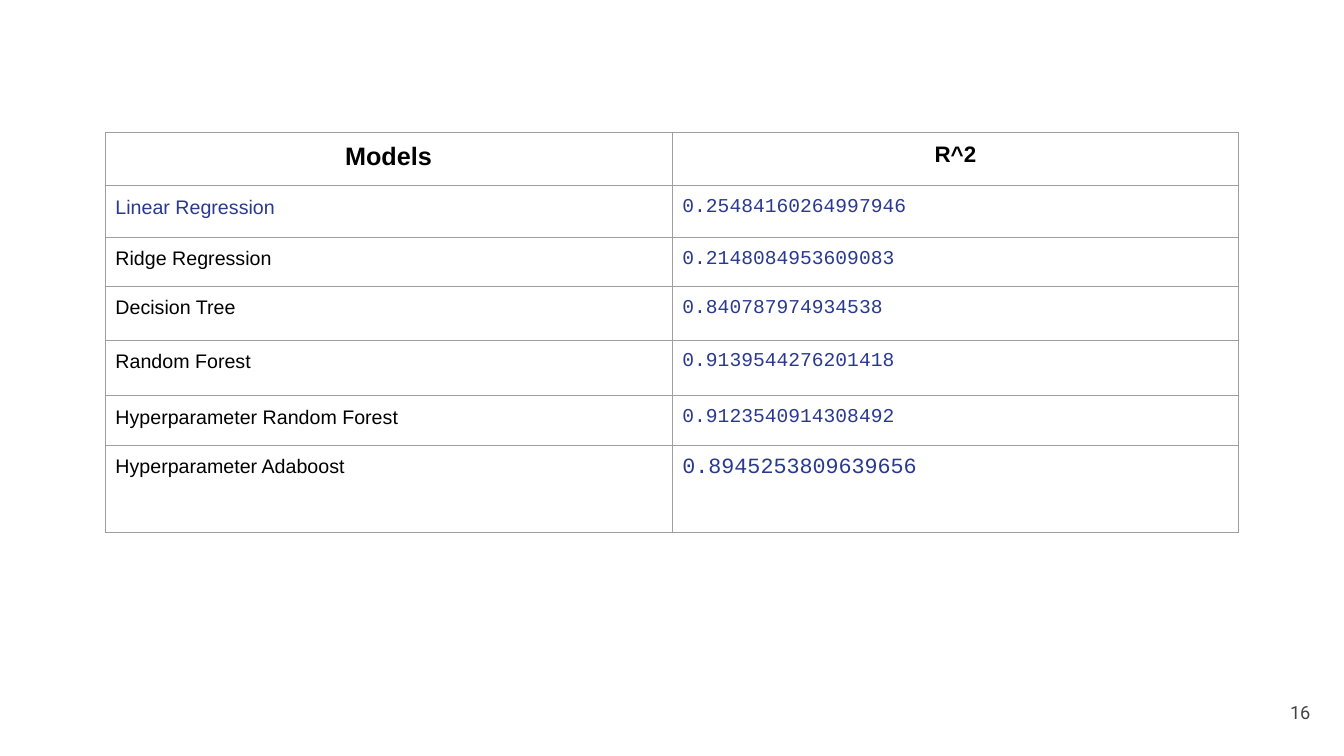
from dataclasses import dataclass

from lxml.etree import SubElement
from pptx import Presentation
from pptx.dml.color import RGBColor
from pptx.enum.text import MSO_ANCHOR, PP_ALIGN
from pptx.oxml.ns import qn
from pptx.util import Pt

PX = 9525
INK, BLUE, GRAY, RULE = "000000", "2A3990", "434343", "9E9E9E"
SANS, MONO = "Arial", "Courier New"


@dataclass
class Label:
    text: str
    size: float = 14
    font: str = SANS
    color: str = INK
    bold: bool = False
    align: PP_ALIGN = PP_ALIGN.LEFT


@dataclass
class Row:
    high: int
    model: Label
    score: Label


def head(text: str, size: float) -> Label:
    return Label(text, size, bold=True, align=PP_ALIGN.CENTER)


def score(text: str, size: float = 14) -> Label:
    return Label(text, size, MONO, BLUE)


ROWS = [
    Row(51, head("Models", 18), head("R^2", 16)),
    Row(49, Label("Linear Regression", color=BLUE), score("0.25484160264997946")),
    Row(47, Label("Ridge Regression"), score("0.2148084953609083")),
    Row(51, Label("Decision Tree"), score("0.840787974934538")),
    Row(53, Label("Random Forest"), score("0.9139544276201418")),
    Row(47, Label("Hyperparameter Random Forest"), score("0.9123540914308492")),
    Row(83, Label("Hyperparameter Adaboost"), score("0.8945253809639656", 15.5)),
]


def px(count: int) -> int:
    return count * PX


def tint(color: str) -> RGBColor:
    return RGBColor.from_string(color)


def write(frame, label: Label) -> None:
    para = frame.paragraphs[0]
    para.alignment = label.align
    run = para.add_run()
    run.text = label.text
    run.font.size = Pt(label.size)
    run.font.name = label.font
    run.font.bold = label.bold
    run.font.color.rgb = tint(label.color)


def inset(box, gap: int) -> None:
    box.margin_left = box.margin_right = px(gap)
    box.margin_top = box.margin_bottom = px(gap)


def border(cell) -> None:
    props = cell._tc.get_or_add_tcPr()
    for side in ("a:lnL", "a:lnR", "a:lnT", "a:lnB"):
        line = SubElement(props, qn(side), w=str(Pt(0.75)))
        fill = SubElement(line, qn("a:solidFill"))
        SubElement(fill, qn("a:srgbClr"), val=RULE)


def grid(slide, rows: list[Row]) -> None:
    high = sum(row.high for row in rows)
    frame = slide.shapes.add_table(
        len(rows), 2, px(100), px(126), px(1080), px(high)
    )
    table = frame.table
    table.first_row = table.horz_banding = False
    for col in table.columns:
        col.width = px(540)
    for line, row in zip(table.rows, rows):
        line.height = px(row.high)
        for cell, label in zip(line.cells, (row.model, row.score)):
            inset(cell, 10)
            border(cell)
            cell.fill.background()
            write(cell.text_frame, label)


def number(slide, text: str) -> None:
    box = slide.shapes.add_textbox(px(1184), px(651), px(77), px(55))
    frame = box.text_frame
    frame.word_wrap = True
    frame.vertical_anchor = MSO_ANCHOR.MIDDLE
    inset(frame, 13)
    write(frame, Label(text, 13, "Roboto", GRAY, align=PP_ALIGN.RIGHT))


def main() -> None:
    """Build the slide of model scores."""
    deck = Presentation()
    deck.slide_width, deck.slide_height = px(1280), px(720)
    slide = deck.slides.add_slide(deck.slide_layouts[6])
    number(slide, "16")
    grid(slide, ROWS)
    deck.save("out.pptx")


if __name__ == "__main__":
    main()
